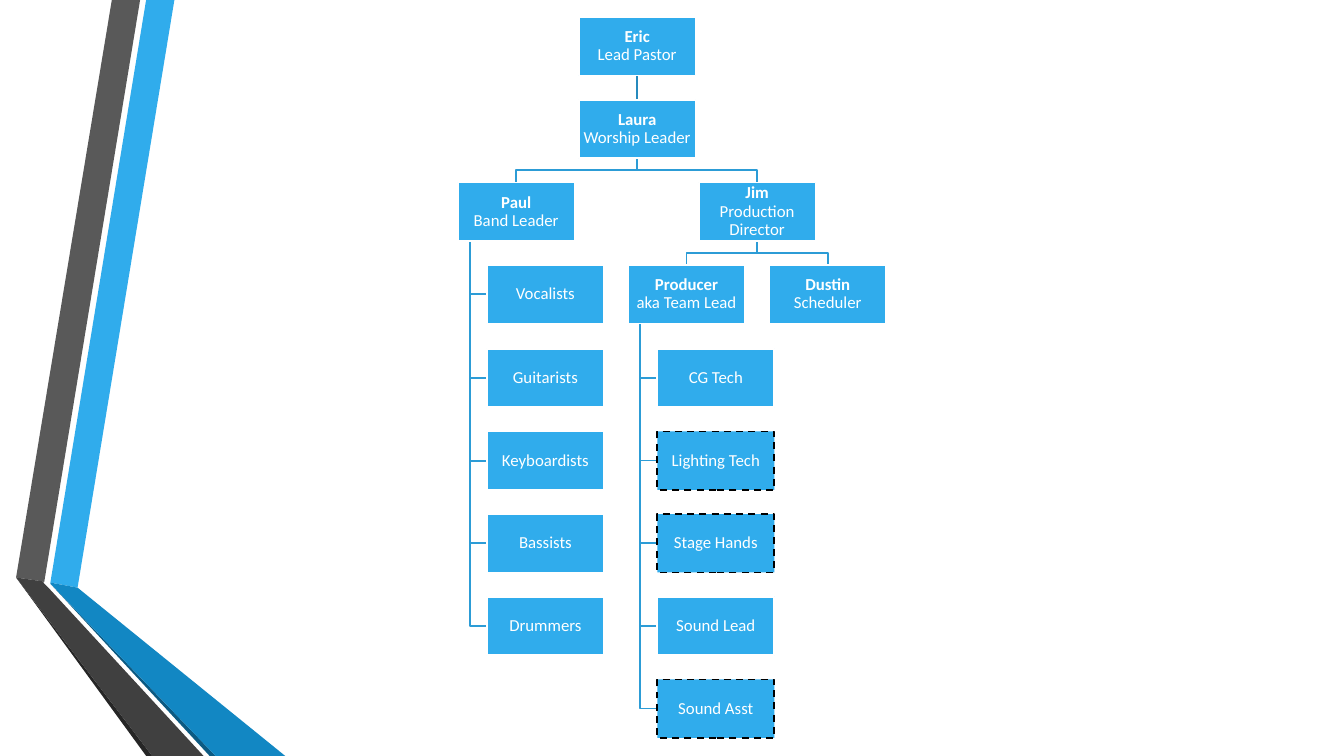
"""Build a worship team organisation chart slide."""
from lxml import etree
from pptx import Presentation
from pptx.dml.color import RGBColor
from pptx.enum.dml import MSO_LINE
from pptx.enum.shapes import MSO_CONNECTOR, MSO_SHAPE
from pptx.enum.text import MSO_ANCHOR, PP_ALIGN
from pptx.oxml.ns import qn
from pptx.util import Pt

RECT = MSO_SHAPE.RECTANGLE
STRAIGHT = MSO_CONNECTOR.STRAIGHT
DASH = MSO_LINE.DASH
MIDDLE = MSO_ANCHOR.MIDDLE
CENTER = PP_ALIGN.CENTER

WHITE = RGBColor(0xFF, 0xFF, 0xFF)
BLACK = RGBColor(0x00, 0x00, 0x00)
BLUE = RGBColor(0x30, 0xAC, 0xEC)
BRANCH_BLUE = RGBColor(0x2C, 0x9C, 0xD6)
TOP_BLUE = RGBColor(0x26, 0x8A, 0xBD)
DEEP_BLUE = RGBColor(0x12, 0x87, 0xC3)
NAVY = RGBColor(0x0C, 0x5A, 0x82)
GREY = RGBColor(0x59, 0x59, 0x59)
DARK_GREY = RGBColor(0x40, 0x40, 0x40)
NEAR_BLACK = RGBColor(0x26, 0x26, 0x26)

EMU_PER_PX = 9144
SLIDE_W, SLIDE_H = 1333, 750
BOX_W, BOX_H = 116, 58
FIRST_ROW, ROW_STEP = 17, 82.15
TRUNK_INDENT, TEAM_INDENT = 12, 29
FONT, FONT_SIZE, LINE_WIDTH = "Calibri", Pt(12), Pt(1.25)

RIBBONS = [
    (BLUE, [(50, 578), (77, 583), (173, 0), (145, 0)]),
    (GREY, [(139, 0), (111, 0), (16, 573), (44, 577)]),
    (NEAR_BLACK, [(16, 573), (145, 750), (151, 750)]),
    (NAVY, [(50, 579), (208, 750), (214, 750)]),
    (DEEP_BLUE, [(50, 579), (214, 750), (283, 750), (77, 583), (50, 578)]),
    (DARK_GREY, [(202, 750), (48, 583), (43, 578), (44, 577), (16, 573),
                 (151, 750)]),
]
LEADERS = {
    "Eric": ("Lead Pastor", 574, 0),
    "Laura": ("Worship Leader", 574, 1),
    "Paul": ("Band Leader", 454, 2),
    "Jim": ("Production Director", 693, 2),
    "Producer": ("aka Team Lead", 623, 3),
    "Dustin": ("Scheduler", 763, 3),
}
REPORTS = [("Jim", "Dustin"), ("Jim", "Producer"), ("Laura", "Jim"),
           ("Laura", "Paul")]
TEAMS = {
    "Paul": ["Vocalists", "Guitarists", "Keyboardists", "Bassists", "Drummers"],
    "Producer": ["CG Tech", "Lighting Tech", "Stage Hands", "Sound Lead",
                 "Sound Asst"],
}
DASHED = {"Lighting Tech", "Stage Hands", "Sound Asst"}


def px(n):
    """Turn px into EMU."""
    return n * EMU_PER_PX


def row_top(row):
    """Return the top of a chart row in px."""
    return round(FIRST_ROW + row * ROW_STEP)


def add_outline(s, points, closed):
    """Add a freeform through the points."""
    builder = s.shapes.build_freeform(*points[0], scale=EMU_PER_PX)
    builder.add_line_segments(points[1:], close=closed)
    sp = builder.convert_to_shape()
    sp.shadow.inherit = False
    return sp


def add_ribbon(s, color, points):
    """Add one filled piece of the side ribbon."""
    sp = add_outline(s, points, True)
    sp.fill.solid()
    sp.fill.fore_color.rgb = color
    sp.line.fill.background()


def add_branch(s, points):
    """Add one bent line between two boxes."""
    sp = add_outline(s, points, False)
    sp.fill.background()
    sp.line.color.rgb = BRANCH_BLUE
    sp.line.width = LINE_WIDTH


def add_report_branch(s, parent, child):
    """Branch from below a leader to the top of another."""
    _, x1, row1 = LEADERS[parent]
    _, x2, row2 = LEADERS[child]
    x1, x2 = x1 + BOX_W // 2, x2 + BOX_W // 2
    y1, y2 = row_top(row1) + BOX_H, row_top(row2)
    mid = (y1 + y2) // 2
    add_branch(s, [(x1, y1), (x1, mid), (x2, mid), (x2, y2)])


def add_team_branch(s, leader, n):
    """Branch from below a leader to the side of the nth team box."""
    _, left, row = LEADERS[leader]
    trunk = left + TRUNK_INDENT
    y = row_top(row + n) + BOX_H // 2
    add_branch(s, [(trunk, row_top(row) + BOX_H), (trunk, y),
                   (left + TEAM_INDENT, y)])


def add_top_line(s):
    """Add the straight line of the top pair."""
    line = s.shapes.add_connector(STRAIGHT, 0, 0, 0, 0)
    line.line.color.rgb = TOP_BLUE
    line.line.width = LINE_WIDTH
    etree.SubElement(line._element.spPr, qn("a:effectLst"))
    return line


def add_run(p, text, bold=False):
    """Add a run of box text."""
    r = p.add_run()
    r.text = text
    r.font.name = FONT
    r.font.size = FONT_SIZE
    r.font.bold = bold
    r.font.color.rgb = WHITE


def add_box(s, left, row, role, name=None):
    """Add a box with a role and an optional bold name above it."""
    sp = s.shapes.add_shape(RECT, px(left), px(row_top(row)), px(BOX_W), px(BOX_H))
    sp.shadow.inherit = False
    sp.fill.solid()
    sp.fill.fore_color.rgb = BLUE
    sp.line.width = LINE_WIDTH
    sp.line.color.rgb = BLACK if role in DASHED else WHITE
    if role in DASHED:
        sp.line.dash_style = DASH
    tf = sp.text_frame
    tf.word_wrap = True
    tf.vertical_anchor = MIDDLE
    tf.margin_left = tf.margin_right = tf.margin_top = tf.margin_bottom = px(1)
    p = tf.paragraphs[0]
    p.alignment = CENTER
    p.line_spacing = 0.9
    if name:
        add_run(p, name, bold=True)
        p.add_line_break()
        etree.SubElement(p._p[-1], qn("a:rPr"), sz=str(int(FONT_SIZE.pt * 100)))
    add_run(p, role)
    return sp


def main():
    """Build and save the slide."""
    prs = Presentation()
    prs.slide_width, prs.slide_height = px(SLIDE_W), px(SLIDE_H)
    s = prs.slides.add_slide(prs.slide_layouts[6])
    for color, points in RIBBONS:
        add_ribbon(s, color, points)
    for parent, child in REPORTS:
        add_report_branch(s, parent, child)
    for leader, team in TEAMS.items():
        for n in range(len(team), 0, -1):
            add_team_branch(s, leader, n)
    top_line = add_top_line(s)
    boxes = {name: add_box(s, left, row, role, name)
             for name, (role, left, row) in LEADERS.items()}
    for leader, team in TEAMS.items():
        _, left, row = LEADERS[leader]
        for n, role in enumerate(team, 1):
            add_box(s, left + TEAM_INDENT, row + n, role)
    top_line.begin_connect(boxes["Eric"], 2)
    top_line.end_connect(boxes["Laura"], 0)
    prs.save("out.pptx")


if __name__ == "__main__":
    main()
